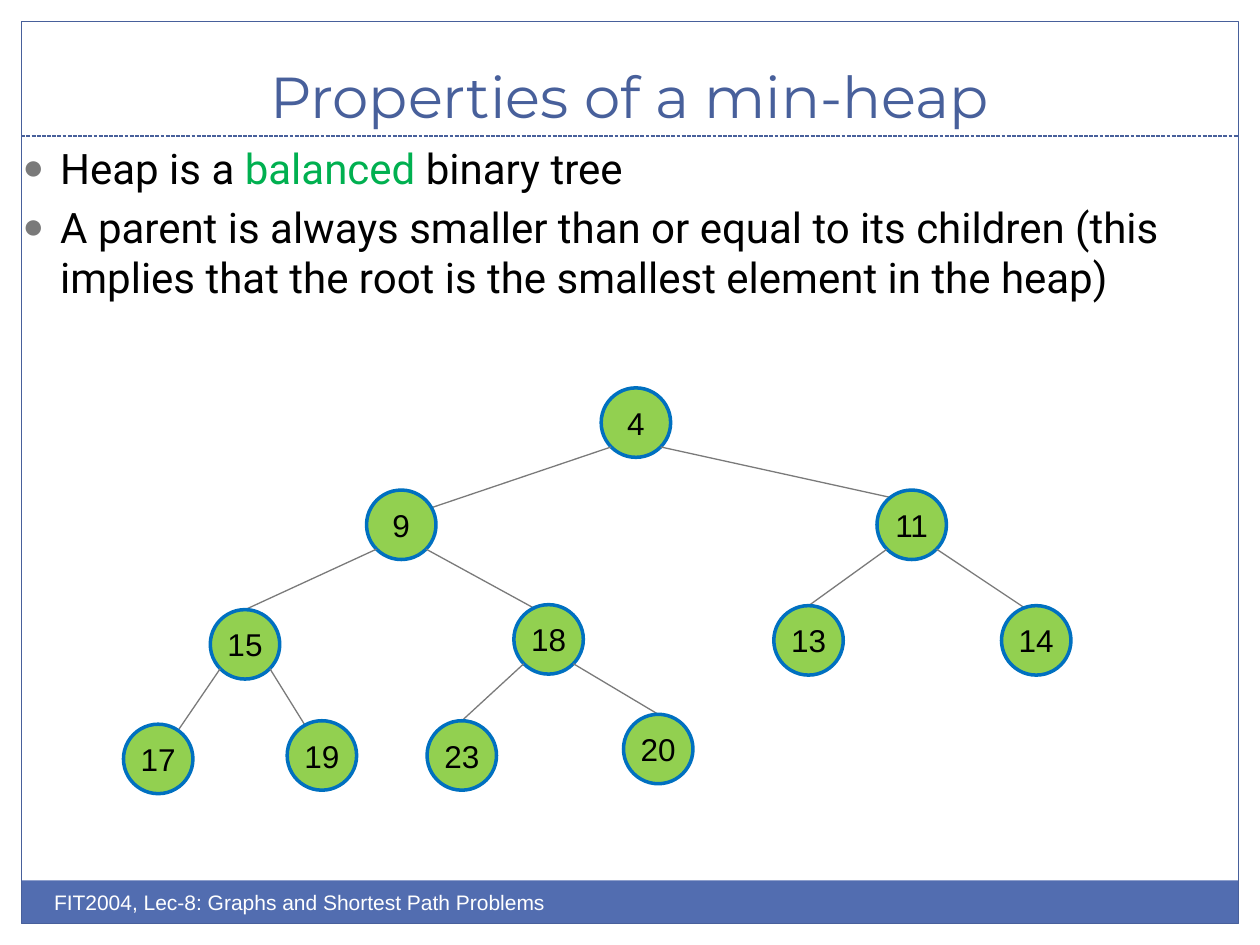
import dataclasses

import pptx
import pptx.dml.color
import pptx.enum.dml
import pptx.enum.shapes
import pptx.enum.text
import pptx.oxml
import pptx.oxml.ns
import pptx.util

Cm = pptx.util.Cm
Shape = pptx.enum.shapes.MSO_SHAPE
Align = pptx.enum.text.PP_ALIGN
Anchor = pptx.enum.text.MSO_ANCHOR


@dataclasses.dataclass(frozen=True)
class Theme:
    """Colours, fonts and type sizes of the slide."""
    navy: str = "48609B"
    bar: str = "526DB0"
    white: str = "FFFFFF"
    black: str = "000000"
    mark: str = "00B050"
    node: str = "92D050"
    rim: str = "0070C0"
    grey: str = "7A7A7A"
    head: tuple = ("Montserrat", 33)
    body: tuple = ("Roboto", 24)
    label: tuple = ("Arial", 18)
    foot: tuple = ("Arial", 12)


@dataclasses.dataclass(frozen=True)
class Node:
    """A heap node: corner, end of its edge from the top centre, children."""
    x: float
    y: float
    end: tuple = (0, 0)
    kids: tuple = ()


THEME = Theme()
SIZE = 1.4
HEAP = {
    4: Node(9.63, 0, kids=(9, 11)),
    9: Node(4.9, 2.06, (0, 0.56), (15, 18)),
    11: Node(15.19, 2.06, (-0.19, 0.2), (13, 14)),
    15: Node(1.75, 4.47, kids=(17, 19)),
    18: Node(7.87, 4.37, (0, 0.23), (23, 20)),
    13: Node(13.11, 4.39),
    14: Node(17.7, 4.39, (0, 0.2)),
    17: Node(0, 6.78, (0, 0.71)),
    19: Node(3.3, 6.71, (0, 0.64)),
    23: Node(6.12, 6.71),
    20: Node(10.08, 6.58),
}
POINTS = [
    [("Heap is a ", THEME.black), ("balanced", THEME.mark),
     (" binary tree", THEME.black)],
    [("A parent is always smaller than or equal to its children "
      "(this implies that the root is the smallest element in the heap)",
      THEME.black)],
]


def paint(text):
    """Turn a hex string into a colour."""
    return pptx.dml.color.RGBColor.from_string(text)


def write(para, text, style, hue):
    """Add one run in the given font, size and colour."""
    run = para.add_run()
    run.text = text
    run.font.name, size = style
    run.font.size = pptx.util.Pt(size)
    run.font.color.rgb = paint(hue)


def place(item, box):
    """Move a shape to a box given in centimetres."""
    item.left, item.top, item.width, item.height = map(Cm, box)


def draw(slide, kind, box, fill=None, line=None, width=0.75):
    """Add a plain preset shape."""
    item = slide.shapes.add_shape(kind, *map(Cm, box))
    item.shadow.inherit = False
    if fill:
        item.fill.solid()
        item.fill.fore_color.rgb = paint(fill)
    else:
        item.fill.background()
    if line:
        item.line.color.rgb = paint(line)
        item.line.width = pptx.util.Pt(width)
    else:
        item.line.fill.background()
    return item


def link(slide, start, end, hue):
    """Add a thin straight line without a shadow."""
    line = slide.shapes.add_connector(
        pptx.enum.shapes.MSO_CONNECTOR.STRAIGHT, *map(Cm, start + end))
    line.line.color.rgb = paint(hue)
    line.line.width = pptx.util.Pt(0.75)
    effect = pptx.oxml.ns.qn("a:effectLst")
    line._element.spPr.append(line._element.makeelement(effect))
    return line


def bullet(para):
    """Give a paragraph a hanging grey dot."""
    props = para._p.get_or_add_pPr()
    props.set("marL", str(Cm(0.76)))
    props.set("indent", str(Cm(-0.76)))
    space = pptx.oxml.ns.nsdecls("a")
    for part in (f'<a:buClr {space}><a:srgbClr val="{THEME.grey}"/></a:buClr>',
                 f'<a:buSzPct {space} val="85000"/>',
                 f'<a:buFont {space} typeface="Arial"/>',
                 f'<a:buChar {space} char="●"/>'):
        props.append(pptx.oxml.parse_xml(part))


def frame(slide, box):
    """Draw the border, the dashed rule and the footer bar."""
    x, y, wide, high = box
    deep = 0.87
    bar = draw(slide, Shape.RECTANGLE, (x, y + high - deep, wide, deep), THEME.bar)
    draw(slide, Shape.RECTANGLE, box, line=THEME.navy)
    rule = link(slide, (x, y + 2.31), (x + wide, y + 2.31), THEME.navy)
    rule.line.dash_style = pptx.enum.dml.MSO_LINE.SQUARE_DOT
    text = bar.text_frame
    text.margin_left = Cm(0.66)
    text.vertical_anchor = Anchor.MIDDLE
    para = text.paragraphs[0]
    para.alignment = Align.LEFT
    write(para, "FIT2004, Lec-8: Graphs and Shortest Path Problems",
          THEME.foot, THEME.white)


def title(slide, box):
    """Fill the title placeholder."""
    item = slide.shapes.title
    place(item, box)
    text = item.text_frame
    text.auto_size = pptx.enum.text.MSO_AUTO_SIZE.NONE
    text.vertical_anchor = Anchor.BOTTOM
    para = text.paragraphs[0]
    para.alignment = Align.CENTER
    write(para, "Properties of a min-heap", THEME.head, THEME.navy)


def points(slide, box):
    """Fill the body placeholder with the bullet list."""
    item = slide.placeholders[1]
    place(item, box)
    text = item.text_frame
    text.auto_size = pptx.enum.text.MSO_AUTO_SIZE.NONE
    for at, parts in enumerate(POINTS):
        para = text.add_paragraph() if at else text.paragraphs[0]
        bullet(para)
        para.space_before = pptx.util.Pt(5 if at else 0)
        for words, hue in parts:
            write(para, words, THEME.body, hue)


def tree(slide, box):
    """Draw the heap, each node followed by the edges to its children."""
    left, top = box[:2]
    for key, node in HEAP.items():
        x, y = left + node.x, top + node.y
        disc = draw(slide, Shape.OVAL, (x, y, SIZE, SIZE),
                    THEME.node, THEME.rim, 2)
        text = disc.text_frame
        text.margin_left = text.margin_right = 0
        text.margin_top = text.margin_bottom = 0
        text.vertical_anchor = Anchor.MIDDLE
        para = text.paragraphs[0]
        para.alignment = Align.CENTER
        write(para, str(key), THEME.label, THEME.black)
        for side, kid in zip((0.2, SIZE - 0.2), node.kids):
            child = HEAP[kid]
            end = (left + child.x + SIZE / 2 + child.end[0],
                   top + child.y + child.end[1])
            link(slide, (x + side, y + 1.19), end, THEME.grey)


def main():
    """Build and save the slide."""
    deck = pptx.Presentation()
    deck.slide_width, deck.slide_height = Cm(25.4), Cm(19.05)
    slide = deck.slides.add_slide(deck.slide_layouts[1])
    frame(slide, (0.43, 0.43, 24.54, 18.19))
    title(slide, (0.84, 0.64, 23.7, 2.1))
    points(slide, (0.2, 2.74, 24.97, 6.15))
    tree(slide, (2.49, 7.82, 19.1, 8.18))
    deck.save("out.pptx")


if __name__ == "__main__":
    main()
